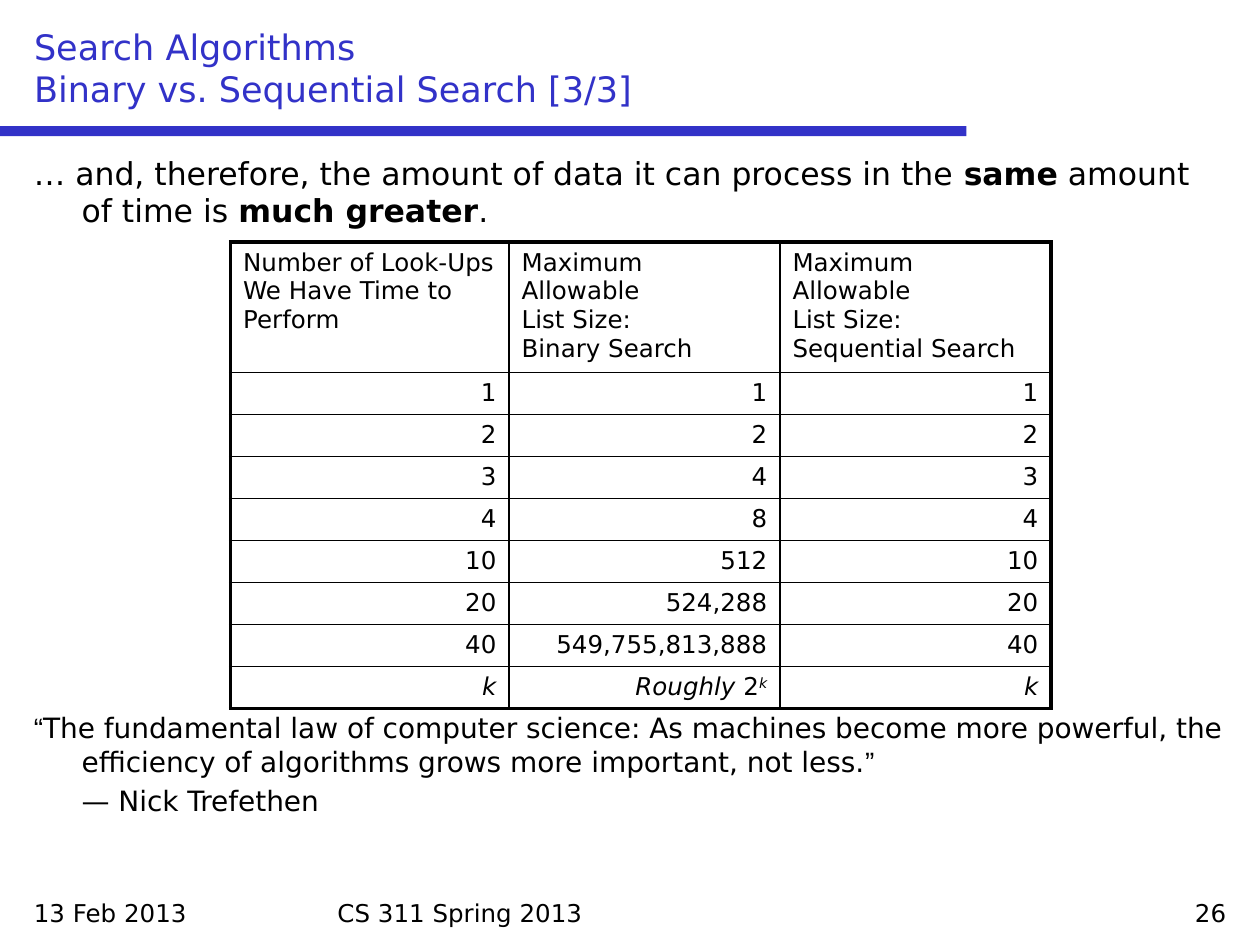
from dataclasses import dataclass, field

from lxml.etree import SubElement
from pptx import Presentation
from pptx.dml.color import RGBColor
from pptx.enum.shapes import MSO_SHAPE
from pptx.enum.text import MSO_ANCHOR, MSO_AUTO_SIZE, PP_ALIGN
from pptx.oxml.ns import qn
from pptx.slide import Slide
from pptx.table import _Cell
from pptx.text.text import TextFrame
from pptx.util import Inches, Pt


@dataclass(frozen=True)
class Theme:
    accent: RGBColor = RGBColor(0x32, 0x32, 0xC8)
    ink: RGBColor = RGBColor(0, 0, 0)
    font: str = "DejaVu Sans"
    quote_font: str = "Arial"
    title_size: float = 20
    lead_size: float = 18
    quote_size: float = 16
    small_size: float = 14
    outer_border: float = 2.25
    inner_border: float = 1


THEME = Theme()


@dataclass(frozen=True)
class Piece:
    text: str
    format: dict = field(default_factory=dict)


@dataclass(frozen=True)
class Line:
    pieces: list[Piece]
    size: float = THEME.small_size
    alignment: PP_ALIGN = PP_ALIGN.LEFT
    color: RGBColor = THEME.ink
    margin: float = 0
    indent: float = 0
    space_before: float = 0


@dataclass(frozen=True)
class Block:
    left: float
    top: float
    width: float
    height: float
    lines: list[Line]


BOLD = {"bold": True}
ITALIC = {"italic": True}
QUOTE_MARK = {"name": THEME.quote_font}
HANGING = {"margin": 0.38, "indent": -0.38}

TITLE = Line(
    [Piece("Search Algorithms\vBinary vs. Sequential Search [3/3]")],
    THEME.title_size,
    color=THEME.accent,
)

BLOCKS = [
    Block(0.17, 1.17, 9.67, 0.75, [
        Line([
            Piece("… and, therefore, the amount of data it can process in the "),
            Piece("same", BOLD),
            Piece(" amount of time is "),
            Piece("much greater", BOLD),
            Piece("."),
        ], THEME.lead_size, **HANGING),
    ]),
    Block(0.17, 5.59, 9.67, 1, [
        Line([
            Piece("“", QUOTE_MARK),
            Piece("The fundamental law of computer science: As machines become more "
                  "powerful, the efficiency of algorithms grows more important, not less."),
            Piece("”", QUOTE_MARK),
        ], THEME.quote_size, **HANGING),
        Line([Piece("— Nick Trefethen")], THEME.quote_size, margin=0.38, space_before=3.2),
    ]),
    Block(0.17, 7.08, 2.33, 0.33, [Line([Piece("13 Feb 2013")])]),
    Block(2.58, 7.08, 4.83, 0.33, [Line([Piece("CS 311 Spring 2013")])]),
    Block(7.5, 7.08, 2.33, 0.33, [Line([Piece("26")], alignment=PP_ALIGN.RIGHT)]),
]

HEADERS = [
    "Number of Look-Ups\vWe Have Time to\vPerform",
    "Maximum Allowable\vList Size:\vBinary Search",
    "Maximum Allowable\vList Size:\vSequential Search",
]
LIST_SIZES = [
    ("1", "1"), ("2", "2"), ("3", "4"), ("4", "8"),
    ("10", "512"), ("20", "524,288"), ("40", "549,755,813,888"),
]
COLUMN_WIDTHS = [2.21, 2.15, 2.15]
HEADER_HEIGHT = 1.01
ROW_HEIGHT = 0.33


def write_lines(text_frame: TextFrame, lines: list[Line]) -> None:
    text_frame.word_wrap = True
    for index, line in enumerate(lines):
        paragraph = text_frame.add_paragraph() if index else text_frame.paragraphs[0]
        paragraph.alignment = line.alignment
        paragraph.space_before = Pt(line.space_before)
        properties = paragraph._p.get_or_add_pPr()
        properties.set("marL", str(Inches(line.margin)))
        properties.set("indent", str(Inches(line.indent)))
        for piece in line.pieces:
            run = paragraph.add_run()
            run.text = piece.text
            if "\v" in piece.text:
                paragraph._p.remove(run._r)
                for part_index, part in enumerate(piece.text.split("\v")):
                    if part_index:
                        paragraph.add_line_break()
                    paragraph.add_run().text = part
            runs = paragraph.runs if "\v" in piece.text else [run]
            values = {"name": THEME.font, "size": Pt(line.size)} | piece.format
            for styled_run in runs:
                baseline = values.get("baseline")
                if baseline:
                    styled_run.font._element.set("baseline", baseline)
                for name, value in values.items():
                    if name != "baseline":
                        setattr(styled_run.font, name, value)
                styled_run.font.color.rgb = line.color


def add_block(slide: Slide, block: Block) -> None:
    shape = slide.shapes.add_textbox(
        Inches(block.left), Inches(block.top), Inches(block.width), Inches(block.height)
    )
    write_lines(shape.text_frame, block.lines)


def set_title(slide: Slide) -> None:
    title = slide.shapes.title
    frame = {"left": 0.17, "top": 0.17, "width": 9.67, "height": 0.75}
    for name, value in frame.items():
        setattr(title, name, Inches(value))
    title.text_frame.auto_size = MSO_AUTO_SIZE.NONE
    title.text_frame.vertical_anchor = MSO_ANCHOR.BOTTOM
    write_lines(title.text_frame, [TITLE])


def add_title_bar(slide: Slide) -> None:
    bar = slide.shapes.add_shape(
        MSO_SHAPE.RECTANGLE, 0, Inches(1), Inches(7.67), Inches(0.08)
    )
    bar.shadow.inherit = False
    bar.fill.solid()
    bar.fill.fore_color.rgb = THEME.accent
    bar.line.fill.background()


def set_borders(cell: _Cell, outer_sides: dict[str, bool]) -> None:
    properties = cell._tc.get_or_add_tcPr()
    for side, is_outer in outer_sides.items():
        width = THEME.outer_border if is_outer else THEME.inner_border
        border = SubElement(properties, qn(f"a:ln{side}"), w=str(Pt(width)))
        fill = SubElement(border, qn("a:solidFill"))
        SubElement(fill, qn("a:srgbClr"), val=str(THEME.ink))


def table_rows() -> list[list[Line]]:
    contents = [
        [[Piece(count)], [Piece(binary_size)], [Piece(count)]]
        for count, binary_size in LIST_SIZES
    ]
    variable = [Piece("k", ITALIC)]
    power = [Piece("Roughly", ITALIC), Piece(" 2"), Piece("k", ITALIC | {"baseline": "30000"})]
    contents.append([variable, power, variable])
    body = [[Line(pieces, alignment=PP_ALIGN.RIGHT) for pieces in row] for row in contents]
    return [[Line([Piece(header)]) for header in HEADERS], *body]


def add_search_table(slide: Slide) -> None:
    rows = table_rows()
    last_row, last_column = len(rows) - 1, len(COLUMN_WIDTHS) - 1
    table = slide.shapes.add_table(
        len(rows), len(COLUMN_WIDTHS), Inches(1.83), Inches(1.92),
        Inches(sum(COLUMN_WIDTHS)), Inches(HEADER_HEIGHT + ROW_HEIGHT * last_row),
    ).table
    for name in ("first_row", "horz_banding"):
        setattr(table, name, False)
    for column, width in zip(table.columns, COLUMN_WIDTHS):
        column.width = Inches(width)
    for row_index, row in enumerate(rows):
        table.rows[row_index].height = Inches(ROW_HEIGHT if row_index else HEADER_HEIGHT)
        for column_index, line in enumerate(row):
            cell = table.cell(row_index, column_index)
            write_lines(cell.text_frame, [line])
            set_borders(cell, {
                "L": column_index == 0,
                "R": column_index == last_column,
                "T": row_index == 0,
                "B": row_index == last_row,
            })
            cell.fill.background()


def main() -> None:
    presentation = Presentation()
    presentation.slide_width, presentation.slide_height = Inches(10), Inches(7.5)
    slide = presentation.slides.add_slide(presentation.slide_layouts[5])
    add_title_bar(slide)
    set_title(slide)
    for block in BLOCKS:
        add_block(slide, block)
    add_search_table(slide)
    presentation.save("out.pptx")


if __name__ == "__main__":
    main()
